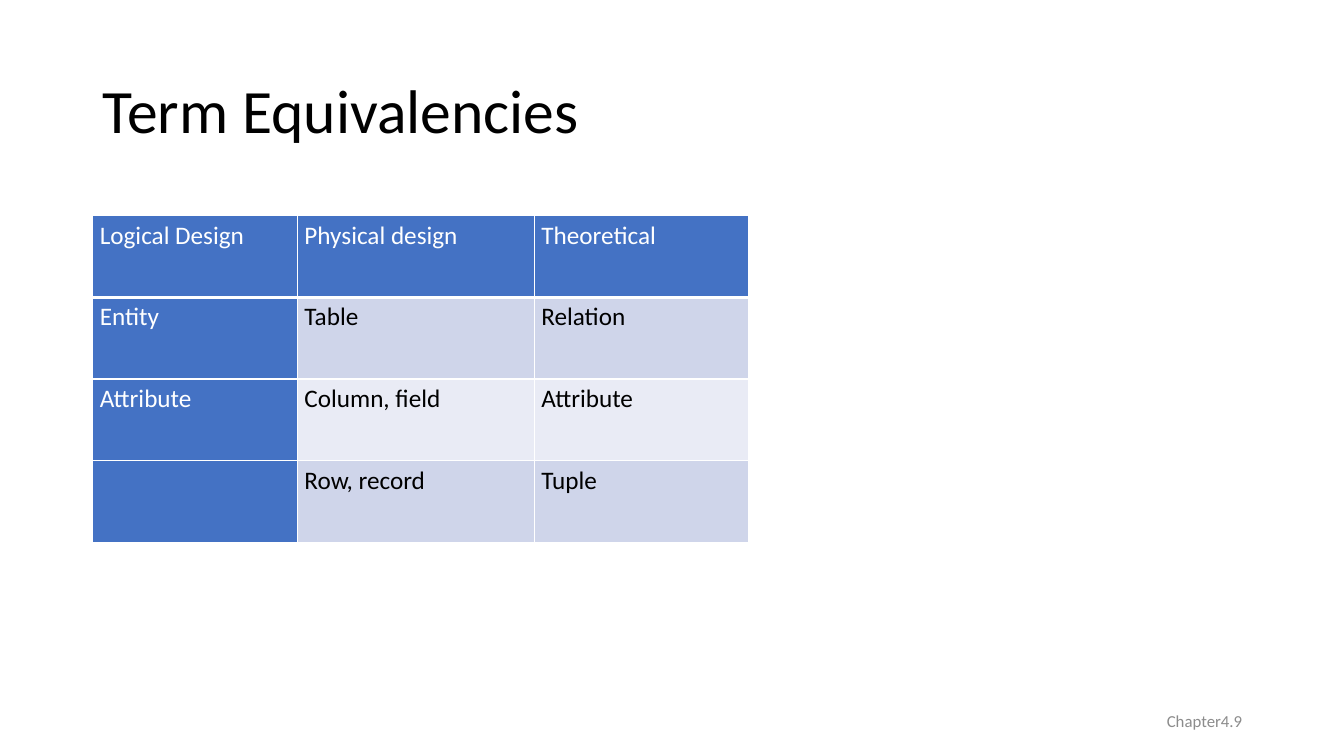
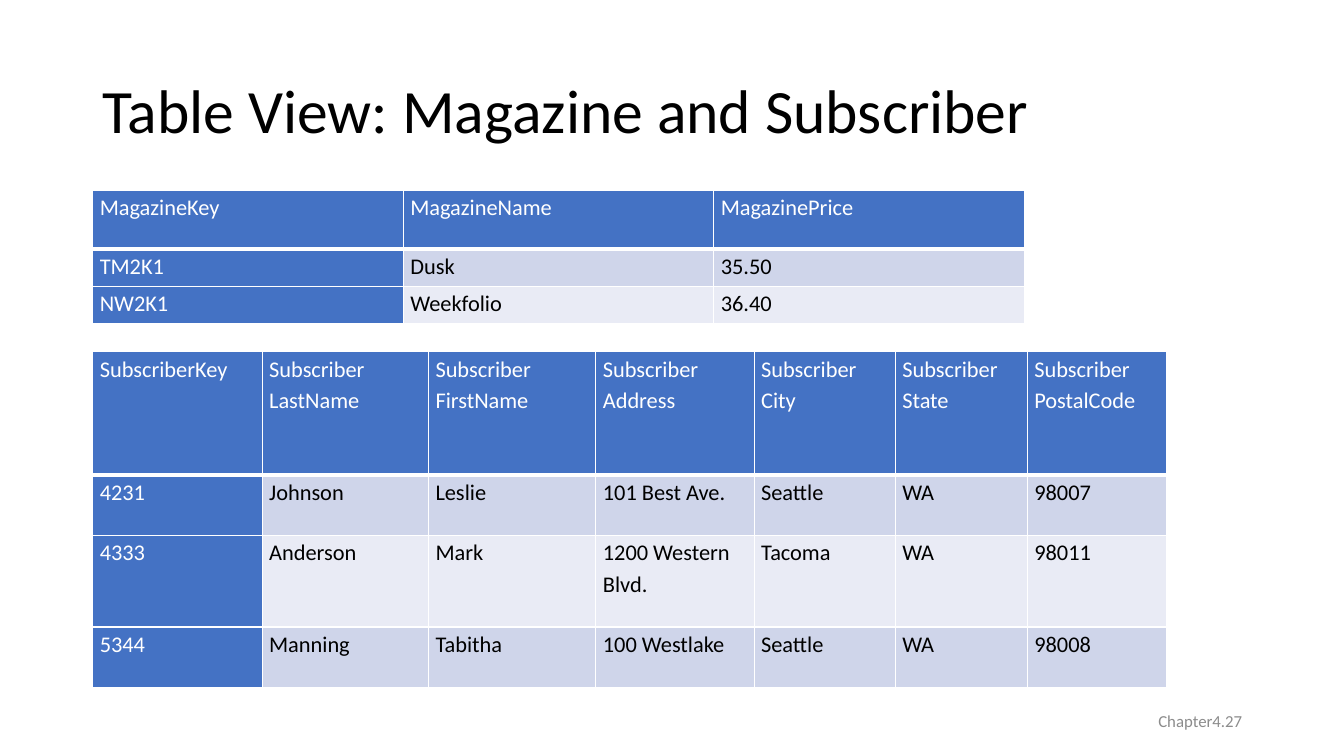
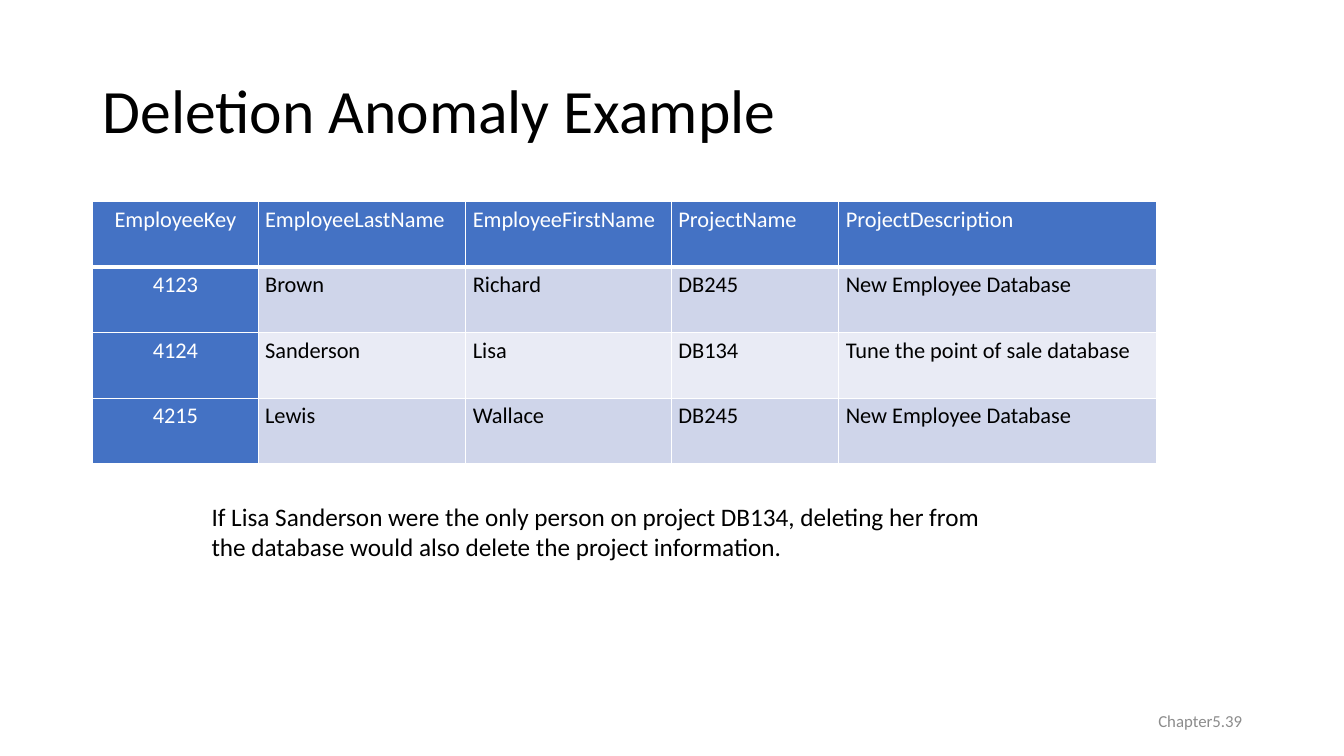
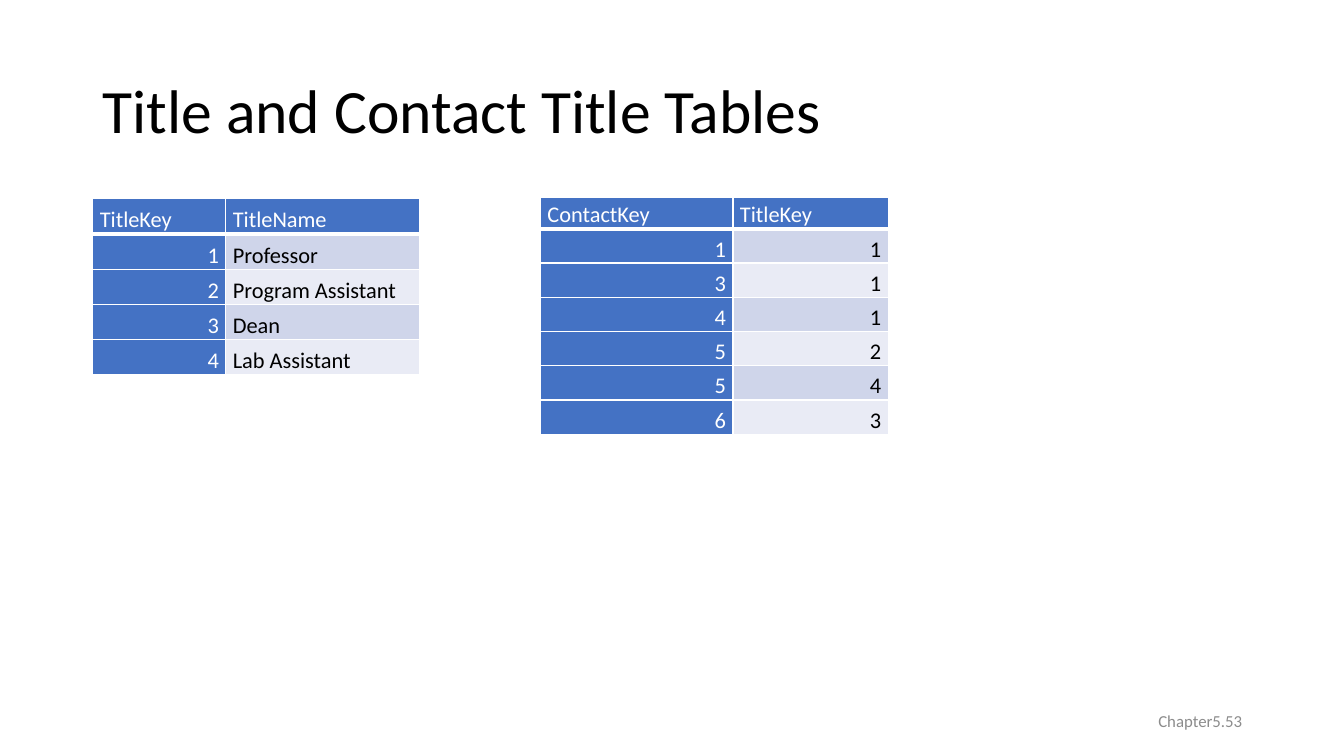
from dataclasses import dataclass

from lxml.etree import SubElement
from pptx import Presentation
from pptx.dml.color import RGBColor
from pptx.enum.text import MSO_ANCHOR as Anchor, PP_ALIGN as Align
from pptx.oxml.ns import qn
from pptx.util import Inches, Pt

FONT = "Calibri"
COLORS = {
    "text": "000000",
    "header": "4472C4",
    "header_text": "FFFFFF",
    "band_dark": "CFD5EA",
    "band_light": "E9EBF5",
    "border": "FFFFFF",
    "footer": "8C8C8C",
}
ALIGNS = {"l": Align.LEFT, "c": Align.CENTER, "r": Align.RIGHT}
LEFT = 0.92


@dataclass(frozen=True)
class Grid:
    left: float
    top: float
    columns: tuple[float, ...]
    heights: tuple[float, ...]
    rows: tuple[tuple[str, ...], ...]
    header_aligns: str
    body_aligns: str
    size: int = 16
    anchor: Anchor = Anchor.TOP


@dataclass(frozen=True)
class Note:
    text: str
    left: float
    top: float
    width: float
    height: float


@dataclass(frozen=True)
class Page:
    title: str
    footer: str
    grids: tuple[Grid, ...]
    notes: tuple[Note, ...] = ()


PAGES = (
    Page(
        "Term Equivalencies",
        "Chapter4.9",
        (
            Grid(
                LEFT, 2.14, (2.03, 2.35, 2.12), (0.81,) * 4,
                (
                    ("Logical Design", "Physical design", "Theoretical"),
                    ("Entity", "Table", "Relation"),
                    ("Attribute", "Column, field", "Attribute"),
                    ("", "Row, record", "Tuple"),
                ),
                "lll", "lll", size=18,
            ),
        ),
    ),
    Page(
        "Table View: Magazine and Subscriber",
        "Chapter4.27",
        (
            Grid(
                LEFT, 1.89, (3.08,) * 3, (0.58, 0.37, 0.37),
                (
                    ("MagazineKey", "MagazineName", "MagazinePrice"),
                    ("TM2K1", "Dusk", "35.50"),
                    ("NW2K1", "Weekfolio", "36.40"),
                ),
                "lll", "lll",
            ),
            Grid(
                LEFT, 3.49, (1.68, 1.65, 1.66, 1.57, 1.4, 1.31, 1.38),
                (1.22, 0.6, 0.91, 0.6),
                (
                    ("SubscriberKey", "Subscriber LastName",
                     "Subscriber\nFirstName", "Subscriber\nAddress",
                     "Subscriber\nCity", "Subscriber State",
                     "Subscriber\nPostalCode"),
                    ("4231", "Johnson", "Leslie", "101 Best Ave.",
                     "Seattle", "WA", "98007"),
                    ("4333", "Anderson", "Mark", "1200 Western Blvd.",
                     "Tacoma", "WA", "98011"),
                    ("5344", "Manning", "Tabitha", "100 Westlake",
                     "Seattle", "WA", "98008"),
                ),
                "lllllll", "lllllll",
            ),
        ),
    ),
    Page(
        "Deletion Anomaly Example",
        "Chapter5.39",
        (
            Grid(
                LEFT, 2, (1.64, 2.06, 2.04, 1.66, 3.15), (0.65,) * 4,
                (
                    ("EmployeeKey", "EmployeeLastName", "EmployeeFirstName",
                     "ProjectName", "ProjectDescription"),
                    ("4123", "Brown", "Richard", "DB245",
                     "New Employee Database"),
                    ("4124", "Sanderson", "Lisa", "DB134",
                     "Tune the point of sale database"),
                    ("4215", "Lewis", "Wallace", "DB245",
                     "New Employee Database"),
                ),
                "cllll", "cllll",
            ),
        ),
        (
            Note(
                "If Lisa Sanderson were the only person on project DB134, "
                "deleting her from the database would also delete the "
                "project information.",
                2, 4.92, 8, 0.71,
            ),
        ),
    ),
    Page(
        "Title and Contact Title Tables",
        "Chapter5.53",
        (
            Grid(
                LEFT, 1.97, (1.32, 1.92), (0.35,) * 5,
                (
                    ("TitleKey", "TitleName"),
                    ("1", "Professor"),
                    ("2", "Program Assistant"),
                    ("3", "Dean"),
                    ("4", "Lab Assistant"),
                ),
                "ll", "rl", anchor=Anchor.BOTTOM,
            ),
            Grid(
                5.36, 1.96, (1.91, 1.54), (0.31,) + (0.34,) * 6,
                (
                    ("ContactKey", "TitleKey"),
                    ("1", "1"),
                    ("3", "1"),
                    ("4", "1"),
                    ("5", "2"),
                    ("5", "4"),
                    ("6", "3"),
                ),
                "ll", "rr", anchor=Anchor.BOTTOM,
            ),
        ),
    ),
)


def write_text(frame, text: str, *, size: int, color: str = "text",
               align: Align = Align.LEFT, spacing: float = 1.0) -> None:
    for index, line in enumerate(text.split("\n")):
        para = frame.add_paragraph() if index else frame.paragraphs[0]
        para.alignment = align
        para.line_spacing = spacing
        para.font.size = Pt(size)
        if line:
            span = para.add_run()
            span.text = line
            span.font.name = FONT
            span.font.size = Pt(size)
            span.font.color.rgb = RGBColor.from_string(COLORS[color])


def add_text(slide, text: str, left: float, top: float, width: float,
             height: float, *, anchor: Anchor = Anchor.MIDDLE,
             **style) -> None:
    box = slide.shapes.add_textbox(
        Inches(left), Inches(top), Inches(width), Inches(height))
    box.text_frame.word_wrap = True
    box.text_frame.vertical_anchor = anchor
    write_text(box.text_frame, text, **style)


def set_borders(cell, is_header: bool) -> None:
    properties = cell._tc.get_or_add_tcPr()
    for side in "LRTB":
        points = 3 if is_header and side == "B" else 1
        line = SubElement(properties, qn(f"a:ln{side}"), w=str(Pt(points)))
        fill = SubElement(line, qn("a:solidFill"))
        SubElement(fill, qn("a:srgbClr"), val=COLORS["border"])


def fill_cell(cell, text: str, grid: Grid, row: int, column: int) -> None:
    is_header = row == 0
    is_key = is_header or column == 0
    band = "band_dark" if row % 2 else "band_light"
    aligns = grid.header_aligns if is_header else grid.body_aligns
    set_borders(cell, is_header)
    cell.fill.solid()
    cell.fill.fore_color.rgb = RGBColor.from_string(
        COLORS["header" if is_key else band])
    cell.margin_left = cell.margin_right = Inches(0.07)
    cell.margin_top = cell.margin_bottom = Inches(0)
    cell.vertical_anchor = grid.anchor
    write_text(cell.text_frame, text, size=grid.size,
               color="header_text" if is_key else "text",
               align=ALIGNS[aligns[column]], spacing=1.15)


def add_grid(slide, grid: Grid) -> None:
    table = slide.shapes.add_table(
        len(grid.rows), len(grid.columns), Inches(grid.left),
        Inches(grid.top), Inches(sum(grid.columns)),
        Inches(sum(grid.heights))).table
    table.first_row = table.horz_banding = False
    for column, width in zip(table.columns, grid.columns):
        column.width = Inches(width)
    for row, height in zip(table.rows, grid.heights):
        row.height = Inches(height)
    for row, texts in enumerate(grid.rows):
        for column, text in enumerate(texts):
            fill_cell(table.cell(row, column), text, grid, row, column)


def add_page(deck, page: Page) -> None:
    slide = deck.slides.add_slide(deck.slide_layouts[6])
    add_text(slide, page.title, LEFT, 0.4, 11.5, 1.45, size=44, spacing=0.9)
    for grid in page.grids:
        add_grid(slide, grid)
    for note in page.notes:
        add_text(slide, note.text, note.left, note.top, note.width,
                 note.height, size=18, anchor=Anchor.TOP)
    add_text(slide, page.footer, 9.42, 6.95, 3, 0.4, size=12,
             color="footer", align=Align.RIGHT)


def main() -> None:
    deck = Presentation()
    deck.slide_width = Inches(13.33)
    deck.slide_height = Inches(7.5)
    for page in PAGES:
        add_page(deck, page)
    deck.save("out.pptx")


if __name__ == "__main__":
    main()
